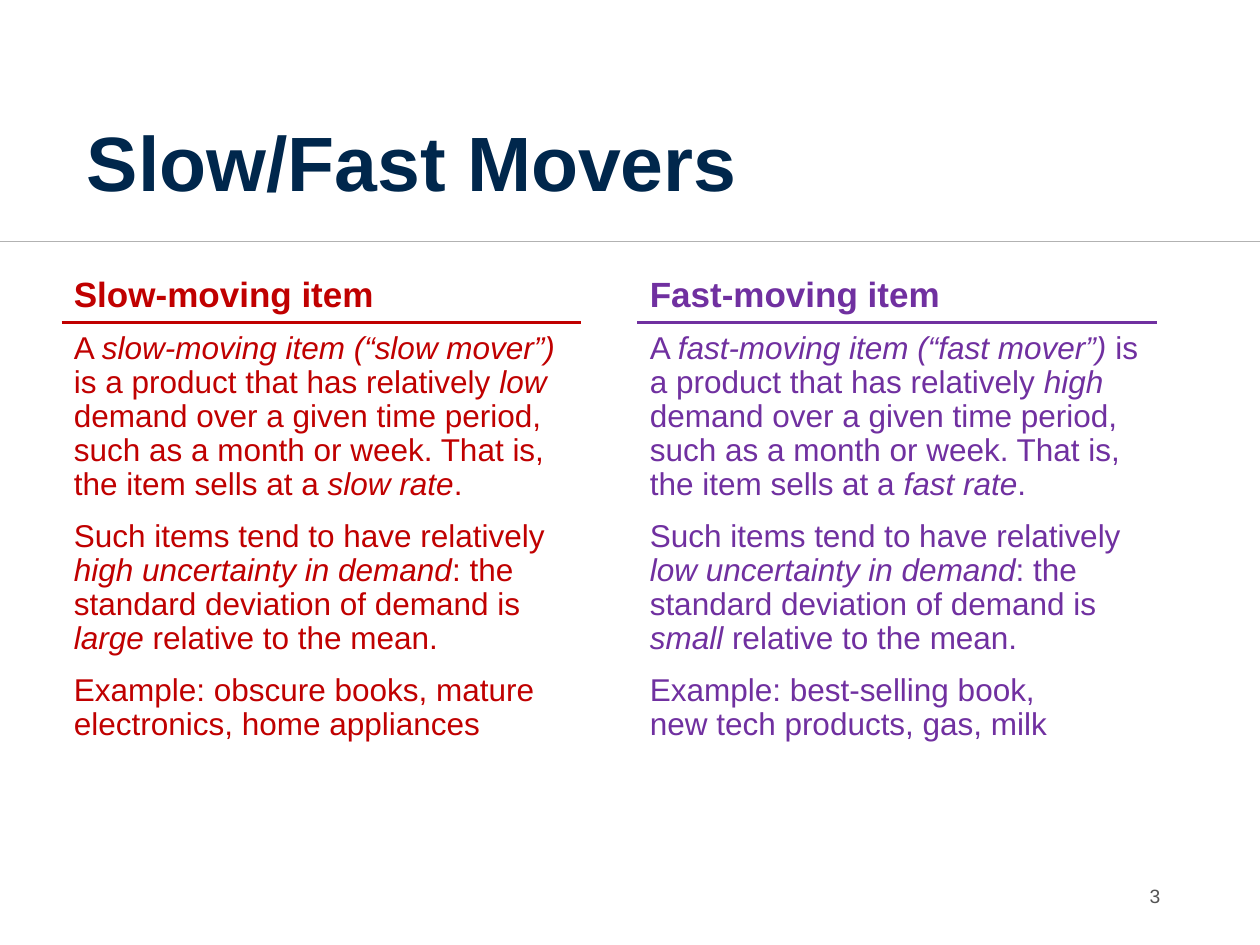
from dataclasses import dataclass
from lxml.etree import SubElement
from pptx import Presentation
from pptx.dml.color import RGBColor
from pptx.enum.shapes import MSO_CONNECTOR
from pptx.enum.text import MSO_ANCHOR, PP_ALIGN
from pptx.oxml.ns import qn
from pptx.slide import Slide
from pptx.util import Cm, Pt

COLORS = {"title": "00274C", "divider": "B2B2B2", "slow": "C00000",
          "fast": "7030A0", "number": "545454"}

ITEMS = [
    ("fast", 12.85, 12.27, "Fast-moving item", [
        "A *fast-moving item (“fast mover”) *is a product that has relatively *high* demand "
        "over a given time period, such as a month or week. That is, the item sells at a "
        "*fast rate*.",
        "Such items tend to have relatively *low uncertainty in demand*: the standard "
        "deviation of demand is *small* relative to the mean.",
        "Example: best-selling book, \nnew tech products, gas, milk"]),
    ("slow", 1.24, 13.97, "Slow-moving item", [
        "A *slow-moving item (“slow mover”) *is a product that has relatively *low* demand "
        "over a given time period, such as a month or week. That is, the item sells at a "
        "*slow rate*.",
        "Such items tend to have relatively *high uncertainty in demand*: the standard "
        "deviation of demand is *large* relative to the mean.",
        "Example: obscure books, mature electronics, home appliances"]),
]


@dataclass
class SlideBuilder:
    """Holds the style and the current slide, and draws each kind of element."""
    slide: Slide
    font: str = "Arial"
    line_spacing: float = 0.9

    def rule(self, left, right, y, color, weight):
        rule = self.slide.shapes.add_connector(
            MSO_CONNECTOR.STRAIGHT, Cm(left), Cm(y), Cm(right), Cm(y))
        rule.line.color.rgb = RGBColor.from_string(COLORS[color])
        rule.line.width = Pt(weight)
        SubElement(rule._element.spPr, qn("a:effectLst"))

    def frame(self, left, top, width, height, insets, anchor=MSO_ANCHOR.TOP):
        frame = self.slide.shapes.add_textbox(
            Cm(left), Cm(top), Cm(width), Cm(height)).text_frame
        frame.word_wrap = True
        frame.vertical_anchor = anchor
        (frame.margin_left, frame.margin_top,
         frame.margin_right, frame.margin_bottom) = map(Cm, insets)
        return frame

    def paragraph(self, paragraph, text, size, color, bold=False, before=0):
        paragraph.line_spacing = self.line_spacing
        paragraph.space_before = Pt(before)
        for index, passage in enumerate(text.split("*")):
            for row, words in enumerate(passage.split("\n")):
                if row:
                    paragraph.add_line_break()
                if words:
                    run = paragraph.add_run()
                    run.text = words
                    run.font.name = self.font
                    run.font.size = Pt(size)
                    run.font.bold = bold
                    run.font.italic = index % 2 == 1
                    run.font.color.rgb = RGBColor.from_string(COLORS[color])

    def column(self, left, height, color, heading, body):
        frame = self.frame(left, 5.08, 10.67, height, (0.25, 0.51, 0.25, 0.13))
        self.paragraph(frame.paragraphs[0], heading, 20, color, True, 10)
        for text in body:
            self.paragraph(frame.add_paragraph(), text, 18, color, before=10)


def main():
    deck = Presentation()
    deck.slide_width, deck.slide_height = Cm(25.4), Cm(19.05)
    builder = SlideBuilder(deck.slides.add_slide(deck.slide_layouts[6]))

    builder.rule(0, 25.4, 4.87, "divider", 0.5)
    for color, left, height, heading, body in ITEMS:
        builder.column(left, height, color, heading, body)
        builder.rule(left, left + 10.48, 6.5, color, 2)

    title = builder.frame(1.75, 1.02, 21.9, 3.68, (0, 0.13, 0.25, 0.51), MSO_ANCHOR.BOTTOM)
    builder.paragraph(title.paragraphs[0], "Slow/Fast Movers", 44, "title", True)

    number = builder.frame(21.51, 17.58, 2.13, 1.02, (0.25, 0.13, 0.25, 0.13),
                           MSO_ANCHOR.MIDDLE)
    number.paragraphs[0].alignment = PP_ALIGN.RIGHT
    builder.paragraph(number.paragraphs[0], "3", 11, "number")

    deck.save("out.pptx")


if __name__ == "__main__":
    main()
